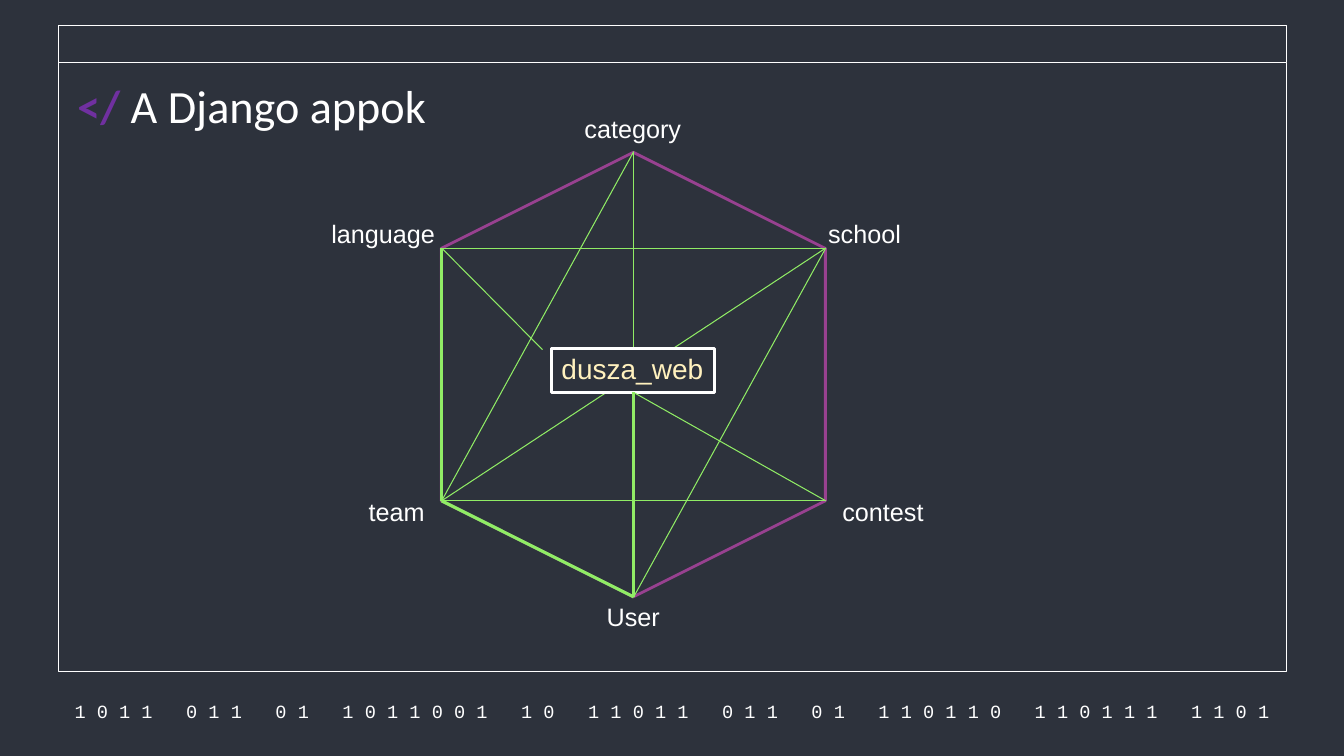
import pptx
import pptx.util
import pptx.dml.color
import pptx.enum.shapes
import pptx.enum.text
import pptx.oxml.ns
import lxml.etree

Cm = pptx.util.Cm
Pt = pptx.util.Pt
SHAPE = pptx.enum.shapes.MSO_SHAPE
ALIGN = pptx.enum.text.PP_ALIGN
ANCHOR = pptx.enum.text.MSO_ANCHOR

COLORS = {
    "dark": "2D323C",
    "white": "FFFFFF",
    "purple": "7030A0",
    "plum": "984190",
    "green": "90EC65",
    "cream": "FFF1BE",
}


def rgb(name):
    return pptx.dml.color.RGBColor.from_string(COLORS[name])


def add_run(p, text, size=18, font="Arial", color="white", bold=False):
    r = p.add_run()
    r.text = text
    r.font.size = Pt(size)
    r.font.name = font
    r.font.bold = bold
    r.font.color.rgb = rgb(color)


class SlideBuilder:
    def __init__(self, s):
        self.s = s
        s.background.fill.solid()
        s.background.fill.fore_color.rgb = rgb("dark")

    def shape(self, kind, x, y, w, h, line="white", width=0.75, rotation=0):
        sp = self.s.shapes.add_shape(kind, Cm(x), Cm(y), Cm(w), Cm(h))
        sp.shadow.inherit = False
        sp.fill.solid()
        sp.fill.fore_color.rgb = rgb("dark")
        sp.line.color.rgb = rgb(line)
        sp.line.width = Pt(width)
        sp.rotation = rotation

    def text(self, text, x, y, w, h, wrap=False, align=ALIGN.LEFT,
             anchor=ANCHOR.TOP, inset=None, **style):
        sp = self.s.shapes.add_textbox(Cm(x), Cm(y), Cm(w), Cm(h))
        tf = sp.text_frame
        tf.word_wrap = wrap
        tf.vertical_anchor = anchor
        if inset is not None:
            tf.margin_left = tf.margin_right = Cm(inset)
            tf.margin_top = tf.margin_bottom = Cm(inset)
        p = tf.paragraphs[0]
        p.alignment = align
        add_run(p, text, **style)

    def title(self, x, y, w, h, runs):
        sp = self.s.shapes.title
        sp._element.getparent().append(sp._element)
        sp.left, sp.top, sp.width, sp.height = Cm(x), Cm(y), Cm(w), Cm(h)
        tf = sp.text_frame
        tf.word_wrap = True
        tf.auto_size = pptx.enum.text.MSO_AUTO_SIZE.NONE
        tf.vertical_anchor = ANCHOR.TOP
        tf.margin_left = tf.margin_right = Cm(0.25)
        tf.margin_top = tf.margin_bottom = Cm(0.25)
        p = tf.paragraphs[0]
        p.alignment = ALIGN.LEFT
        for text, style in runs:
            add_run(p, text, size=33, font="Calibri", **style)

    def line(self, start, end, width=0.75):
        sp = self.s.shapes.add_connector(
            pptx.enum.shapes.MSO_CONNECTOR.STRAIGHT,
            Cm(start[0]), Cm(start[1]), Cm(end[0]), Cm(end[1]))
        sp.line.color.rgb = rgb("green")
        sp.line.width = Pt(width)
        lxml.etree.SubElement(sp._element.spPr, pptx.oxml.ns.qn("a:effectLst"))


def main():
    prs = pptx.Presentation()
    prs.slide_width, prs.slide_height = Cm(33.87), Cm(19.05)
    b = SlideBuilder(prs.slides.add_slide(prs.slide_layouts[5]))

    for height in (16.28, 0.94):
        b.shape(SHAPE.RECTANGLE, 1.47, 0.64, 30.96, height)
    b.text("1 0 1 1   0 1 1   0 1   1 0 1 1 0 0 1   1 0   1 1 0 1 1   "
           "0 1 1   0 1   1 1 0 1 1 0   1 1 0 1 1 1   1 1 0 1",
           1.27, 17.6, 31.39, 0.66, wrap=True, align=ALIGN.CENTER,
           anchor=ANCHOR.MIDDLE, inset=0.33, size=13.3, font="Courier New")
    b.shape(SHAPE.HEXAGON, 10.36, 4.6, 11.2, 9.68, "plum", 2, rotation=90)
    b.title(1.7, 1.7, 28.52, 2.13, [
        ("</ ", {"color": "purple", "bold": True}),
        ("A Django appok", {}),
    ])

    for name, x, y, w in [
        ("category", 14.48, 2.72, 2.97),
        ("language", 8.1, 5.38, 3.15),
        ("contest", 20.98, 12.37, 2.59),
        ("school", 20.62, 5.38, 2.36),
        ("team", 9.04, 12.37, 1.93),
        ("User", 15.04, 15.04, 1.85),
    ]:
        b.text(name, x, y, w, 1.02)

    left, middle, right = 11.13, 15.97, 20.81
    category, user = (middle, 3.82), (middle, 15.04)
    language, school = (left, 6.25), (right, 6.25)
    team, contest = (left, 12.62), (right, 12.62)
    web_top, web_bottom = (middle, 8.74), (middle, 9.89)
    web_corner = (13.67, 8.81)

    for start, end in [(school, team), (category, team), (school, language),
                       (school, user), (team, contest)]:
        b.line(start, end)
    b.shape(SHAPE.FLOWCHART_PROCESS, 13.9, 8.78, 4.11, 1.12, width=2)
    b.text("dusza_web", 13.9, 8.74, 4.11, 1.12, size=20, color="cream")
    for start, end in [(category, web_top), (contest, web_bottom),
                       (language, web_corner)]:
        b.line(start, end)
    for start, end in [(language, team), (team, user), (web_bottom, user)]:
        b.line(start, end, 2.25)

    prs.save("out.pptx")


if __name__ == "__main__":
    main()
